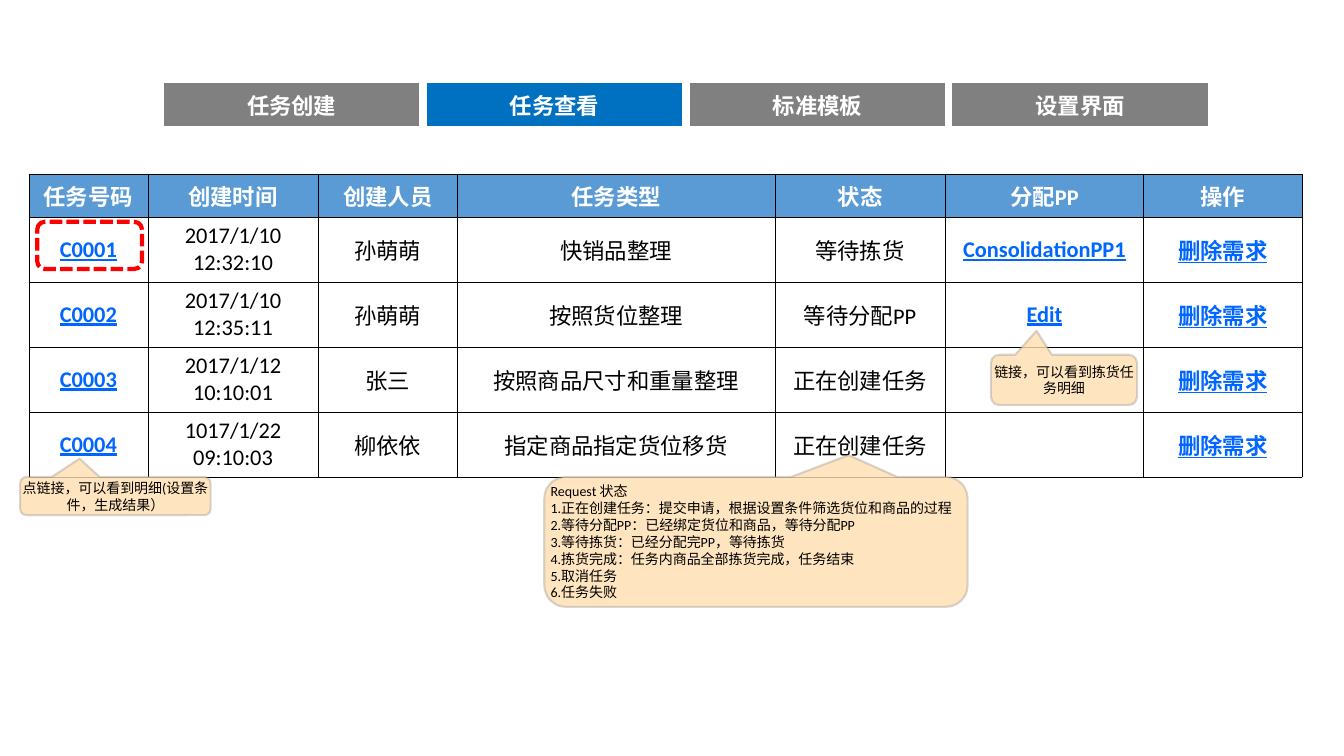
from dataclasses import dataclass

from lxml import etree
from pptx import Presentation
from pptx.dml.color import RGBColor
from pptx.enum.dml import MSO_LINE
from pptx.enum.shapes import MSO_SHAPE
from pptx.enum.text import MSO_ANCHOR, PP_ALIGN
from pptx.oxml.ns import qn
from pptx.util import Pt

CENTER, LEFT = PP_ALIGN.CENTER, PP_ALIGN.LEFT
MIDDLE = MSO_ANCHOR.MIDDLE
CALLOUT = MSO_SHAPE.ROUNDED_RECTANGULAR_CALLOUT
ROUNDED = MSO_SHAPE.ROUNDED_RECTANGLE
DASHED = MSO_LINE.SQUARE_DOT


@dataclass(frozen=True)
class Theme:
    font: str = "Calibri"
    table_size: float = 16
    note_size: float = 10
    white: str = "FFFFFF"
    black: str = "000000"
    gray: str = "808080"
    active: str = "0070C0"
    header: str = "5B9BD5"
    link: str = "0066FF"
    note: str = "FFDFAF"
    alert: str = "FF0000"


THEME = Theme()

TABS = ["任务创建", "任务查看", "标准模板", "设置界面"]
ACTIVE_TAB = "任务查看"
HEADINGS = ["任务号码", "创建时间", "创建人员", "任务类型", "状态", "分配PP", "操作"]
TASKS = [
    ["C0001", "2017/1/10 12:32:10", "孙萌萌", "快销品整理", "等待拣货", "ConsolidationPP1"],
    ["C0002", "2017/1/10\n12:35:11", "孙萌萌", "按照货位整理", "等待分配PP", "Edit"],
    ["C0003", "2017/1/12\n10:10:01", "张三", "按照商品尺寸和重量整理", "正在创建任务", ""],
    ["C0004", "1017/1/22\n09:10:03", "柳依依", "指定商品指定货位移货", "正在创建任务", ""],
]
ACTION = "删除需求"
LINK_COLUMNS = {0, 5, 6}
COLUMN_WIDTHS = [85, 121.7, 99.4, 226.8, 121.7, 141.8, 113]
HEADER_HEIGHT, TASK_HEIGHT = 29.9, 46.4

STATUS_NOTE = """Request 状态
1.正在创建任务：提交申请，根据设置条件筛选货位和商品的过程
2.等待分配PP：已经绑定货位和商品，等待分配PP
3.等待拣货：已经分配完PP，等待拣货
4.拣货完成：任务内商品全部拣货完成，任务结束
5.取消任务
6.任务失败"""
CALLOUTS = [
    ((14.4, 340.6, 136.1, 27.4), (-0.188, -0.976), CENTER,
     "点链接，可以看到明细(设置条件，生成结果）"),
    ((388.8, 340.6, 302.4, 92.9), (0.219, -0.667), LEFT, STATUS_NOTE),
    ((707.8, 253.4, 104.4, 36), (-0.188, -0.976), CENTER, "链接，可以看到拣货任务明细"),
]


def rgb(color):
    return RGBColor.from_string(color)


def write(frame, text, size, color, align=CENTER, bold=False, underline=False):
    frame.text = text
    for para in frame.paragraphs:
        para.alignment = align
        para.font.size = Pt(size)
        for span in para.runs:
            font = span.font
            font.name, font.size = THEME.font, Pt(size)
            font.bold, font.underline = bold, underline
            font.color.rgb = rgb(color)


def set_alpha(fill_parent, percent):
    color = fill_parent.find(qn("a:solidFill"))[0]
    etree.SubElement(color, qn("a:alpha"), val=str(percent * 1000))


def add_borders(cell, color, width):
    properties = cell._tc.get_or_add_tcPr()
    for side in ("lnL", "lnR", "lnT", "lnB"):
        line = etree.SubElement(properties, qn(f"a:{side}"), w=str(Pt(width)))
        fill = etree.SubElement(line, qn("a:solidFill"))
        etree.SubElement(fill, qn("a:srgbClr"), val=color)


def format_cell(cell, text, fill, color, border, bold=False, underline=False):
    add_borders(cell, *border)
    cell.fill.solid()
    cell.fill.fore_color.rgb = rgb(fill)
    cell.vertical_anchor = MIDDLE
    write(cell.text_frame, text, THEME.table_size, color, bold=bold, underline=underline)


def add_grid(page, left, top, widths, heights):
    grid = page.shapes.add_table(
        len(heights), len(widths), Pt(left), Pt(top), Pt(sum(widths)), Pt(sum(heights))
    ).table
    grid.first_row = grid.horz_banding = False
    for column, width in zip(grid.columns, widths):
        column.width = Pt(width)
    for row, height in zip(grid.rows, heights):
        row.height = Pt(height)
    return grid


def add_tabs(page, left, top, width, height):
    grid = add_grid(page, left, top, [width / len(TABS)] * len(TABS), [height])
    for index, label in enumerate(TABS):
        fill = THEME.active if label == ACTIVE_TAB else THEME.gray
        format_cell(grid.cell(0, index), label, fill, THEME.white, (THEME.white, 6), bold=True)


def add_task_table(page, left, top):
    heights = [HEADER_HEIGHT] + [TASK_HEIGHT] * len(TASKS)
    grid = add_grid(page, left, top, COLUMN_WIDTHS, heights)
    border = (THEME.black, 0.5)
    for column, heading in enumerate(HEADINGS):
        format_cell(grid.cell(0, column), heading, THEME.header, THEME.white, border, bold=True)
    for row, task in enumerate(TASKS, 1):
        for column, text in enumerate(task + [ACTION]):
            linked = column in LINK_COLUMNS
            color = THEME.link if linked else THEME.black
            format_cell(grid.cell(row, column), text, THEME.white, color, border, linked, linked)


def add_callout(page, box, tip, align, text):
    callout = page.shapes.add_shape(CALLOUT, *map(Pt, box))
    callout.shadow.inherit = False
    for index, value in enumerate((*tip, 0.167)):
        callout.adjustments[index] = value
    callout.fill.solid()
    callout.fill.fore_color.rgb = rgb(THEME.note)
    callout.line.color.rgb = rgb(THEME.gray)
    callout.line.width = Pt(1.5)
    properties = callout._element.spPr
    set_alpha(properties, 80)
    set_alpha(properties.find(qn("a:ln")), 30)
    frame = callout.text_frame
    frame.word_wrap = True
    frame.vertical_anchor = MIDDLE
    frame.margin_left = frame.margin_right = frame.margin_top = frame.margin_bottom = 0
    write(frame, text, THEME.note_size, THEME.black, align)


def add_highlight(page, left, top, width, height):
    frame = page.shapes.add_shape(ROUNDED, Pt(left), Pt(top), Pt(width), Pt(height))
    frame.shadow.inherit = False
    frame.fill.background()
    frame.line.color.rgb = rgb(THEME.alert)
    frame.line.width = Pt(3)
    frame.line.dash_style = DASHED


def main():
    deck = Presentation()
    deck.slide_width, deck.slide_height = Pt(960), Pt(540)
    page = deck.slides.add_slide(deck.slide_layouts[6])
    add_tabs(page, 114.5, 56.9, 751, 36)
    add_task_table(page, 20.6, 124.8)
    for callout in CALLOUTS:
        add_callout(page, *callout)
    add_highlight(page, 26.6, 158.4, 74.9, 33.8)
    deck.save("out.pptx")


if __name__ == "__main__":
    main()
